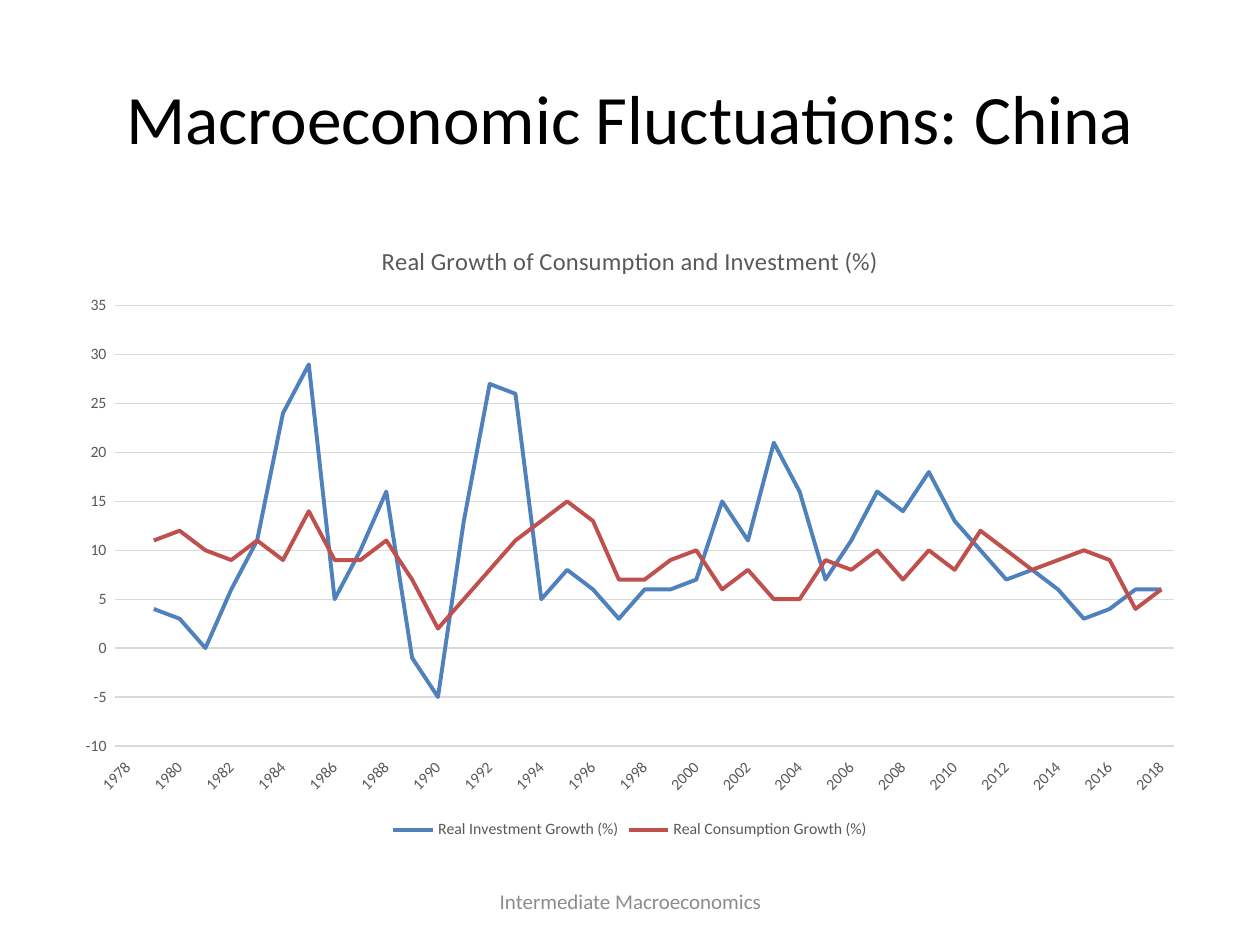
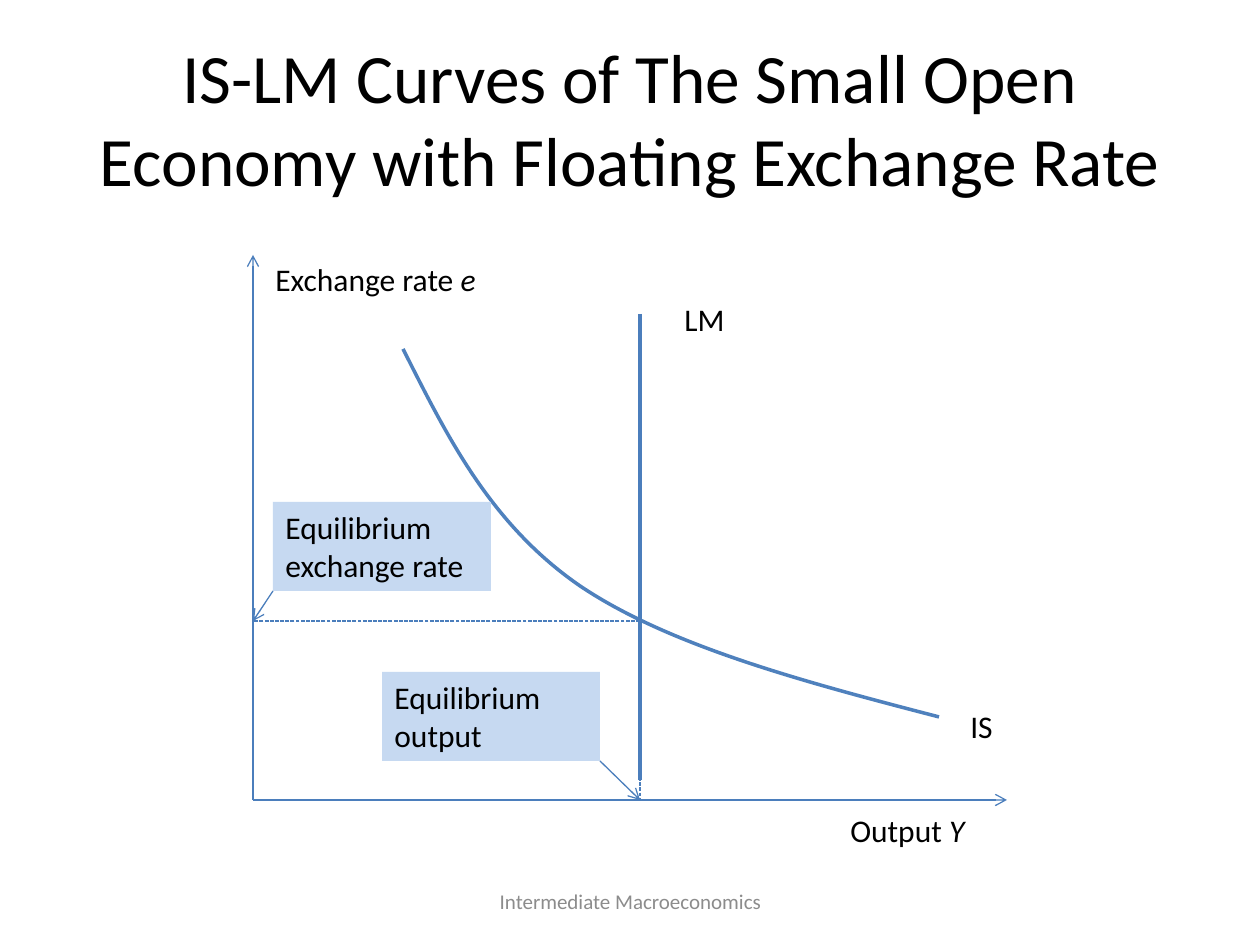
from dataclasses import dataclass

from lxml.etree import SubElement
from pptx import Presentation
from pptx.chart.data import CategoryChartData
from pptx.dml.color import RGBColor
from pptx.enum.chart import XL_CHART_TYPE, XL_LEGEND_POSITION as LEGEND
from pptx.enum.chart import XL_TICK_LABEL_POSITION as TICK_LABEL, XL_TICK_MARK as TICK_MARK
from pptx.enum.dml import MSO_LINE_DASH_STYLE as DASH
from pptx.enum.shapes import MSO_CONNECTOR, MSO_SHAPE
from pptx.enum.text import MSO_ANCHOR as ANCHOR, PP_ALIGN as ALIGN
from pptx.oxml.ns import qn
from pptx.util import Emu, Inches, Pt

PX_PER_INCH = 126
SCALE = Inches(1) / PX_PER_INCH


@dataclass(frozen=True)
class Theme:
    font: str = "Calibri"
    black: str = "000000"
    footer: str = "8C8C8C"
    chart_text: str = "595959"
    grid: str = "D9D9D9"
    axis: str = "4B7EBC"
    curve: str = "4F81BD"
    investment: str = "4F81BD"
    consumption: str = "C0504D"
    callout: str = "C6D9F1"
    title_size: float = 39.6
    label_size: float = 18
    footer_size: float = 12
    chart_title_size: float = 14
    chart_size: float = 9
    thin: float = 0.75
    thick: float = 2
    series_width: float = 2.25


THEME = Theme()

YEARS = range(1978, 2019)
INVESTMENT = [None, 4, 3, 0, 6, 11, 24, 29, 5, 10, 16, -1, -5, 13, 27, 26, 5, 8, 6, 3, 6,
              6, 7, 15, 11, 21, 16, 7, 11, 16, 14, 18, 13, 10, 7, 8, 6, 3, 4, 6, 6]
CONSUMPTION = [None, 11, 12, 10, 9, 11, 9, 14, 9, 9, 11, 7, 2, 5, 8, 11, 13, 15, 13, 7, 7,
               9, 10, 6, 8, 5, 5, 9, 8, 10, 7, 10, 8, 12, 10, 8, 9, 10, 9, 4, 6]

ORIGIN_X, ORIGIN_Y = 253, 800
AXIS_TOP, AXIS_RIGHT = 255, 1007
EQUILIBRIUM_X, EQUILIBRIUM_Y = 640, 621
IS_START = (403, 349)
IS_BEZIERS = [[(447, 436), (490, 524), (580, 586)], [(669, 646), (804, 682), (939, 717)]]


def px(*lengths):
    return [Emu(round(length * SCALE)) for length in lengths]


def rgb(colour):
    return RGBColor.from_string(colour)


def set_format(target, values):
    for name, value in values.items():
        setattr(target, name, value)


def set_font(font, size, colour):
    set_format(font, {"name": THEME.font, "size": Pt(size)})
    font.color.rgb = rgb(colour)


def set_line(line, colour, width):
    line.color.rgb = rgb(colour)
    line.width = Pt(width)


def write(shape, text, size, colour, italic="", align=ALIGN.LEFT, anchor=ANCHOR.TOP, wrap=True):
    """Fill a shape with one paragraph, ending in an optional italic run."""
    set_format(shape.text_frame, {"word_wrap": wrap, "vertical_anchor": anchor})
    paragraph = shape.text_frame.paragraphs[0]
    paragraph.alignment = align
    for content, slanted in ((text, False), (italic, True)):
        if content:
            run = paragraph.add_run()
            run.text = content
            set_font(run.font, size, colour)
            run.font.italic = slanted


def add_text(slide, box, text, size, colour, **options):
    write(slide.shapes.add_textbox(*px(*box)), text, size, colour, **options)


def add_label(slide, box, text, italic=""):
    add_text(slide, box, text, THEME.label_size, THEME.black, italic=italic, wrap=False)


def add_callout(slide, left, top, text):
    shape = slide.shapes.add_shape(MSO_SHAPE.RECTANGLE, *px(left, top, 218, 89))
    shape.shadow.inherit = False
    shape.fill.solid()
    shape.fill.fore_color.rgb = rgb(THEME.callout)
    shape.line.fill.background()
    write(shape, text, THEME.label_size, THEME.black)


def add_line(slide, start, end, width=THEME.thin, arrow=False, dash=None):
    connector = slide.shapes.add_connector(MSO_CONNECTOR.STRAIGHT, *px(*start, *end))
    set_line(connector.line, THEME.axis, width)
    if dash:
        connector.line.dash_style = dash
    if arrow:
        SubElement(connector.line._get_or_add_ln(), qn("a:tailEnd"), type="arrow")
    SubElement(connector._element.spPr, qn("a:effectLst"))


def add_curve(slide, start, beziers):
    """Draw an open outline through cubic Bezier segments."""
    builder = slide.shapes.build_freeform(*start, scale=SCALE)
    builder.add_line_segments([point for bezier in beziers for point in bezier], close=False)
    shape = builder.convert_to_shape()
    shape.shadow.inherit = False
    shape.fill.background()
    set_line(shape.line, THEME.curve, THEME.thick)
    segments = shape._element.findall(".//" + qn("a:lnTo"))
    outline = segments[0].getparent()
    for first in range(0, len(segments), 3):
        cubic = SubElement(outline, qn("a:cubicBezTo"))
        for segment in segments[first:first + 3]:
            cubic.append(segment[0])
            outline.remove(segment)


def add_slide(presentation, title):
    slide = presentation.slides.add_slide(presentation.slide_layouts[6])
    centred = {"align": ALIGN.CENTER, "anchor": ANCHOR.MIDDLE}
    add_text(slide, (63, 38, 1134, 158), title, THEME.title_size, THEME.black, **centred)
    add_text(slide, (431, 876, 399, 50), "Intermediate Macroeconomics",
             THEME.footer_size, THEME.footer, **centred)
    return slide


def style_category_axis(axis):
    set_format(axis, {"major_tick_mark": TICK_MARK.NONE, "has_major_gridlines": False,
                      "tick_label_position": TICK_LABEL.LOW})
    set_line(axis.format.line, THEME.grid, THEME.thin)
    set_font(axis.tick_labels.font, THEME.chart_size, THEME.chart_text)
    element = axis._element
    element.find(qn("c:txPr")).find(qn("a:bodyPr")).set("rot", "-2700000")
    skip = SubElement(element, qn("c:tickLblSkip"), val="2")
    element.find(qn("c:noMultiLvlLbl")).addprevious(skip)


def style_value_axis(axis):
    set_format(axis, {"minimum_scale": -10, "maximum_scale": 35, "major_unit": 5,
                      "major_tick_mark": TICK_MARK.NONE, "has_major_gridlines": True})
    set_format(axis.tick_labels, {"number_format": "0_ ", "number_format_is_linked": False})
    set_font(axis.tick_labels.font, THEME.chart_size, THEME.chart_text)
    set_line(axis.major_gridlines.format.line, THEME.grid, THEME.thin)
    axis.format.line.fill.background()


def add_line_chart(slide, box, title, categories, series_list):
    data = CategoryChartData(number_format="0")
    data.categories = categories
    for name, values, _ in series_list:
        data.add_series(name, values)
    chart = slide.shapes.add_chart(XL_CHART_TYPE.LINE, *px(*box), data).chart
    set_font(chart.font, THEME.chart_size, THEME.chart_text)
    set_format(chart, {"has_title": True, "has_legend": True})
    paragraph = chart.chart_title.text_frame.paragraphs[0]
    run = paragraph.add_run()
    run.text = title
    set_font(run.font, THEME.chart_title_size, THEME.chart_text)
    run.font.bold = False
    set_format(chart.legend, {"position": LEGEND.BOTTOM, "include_in_layout": False})
    set_font(chart.legend.font, THEME.chart_size, THEME.chart_text)
    style_category_axis(chart.category_axis)
    style_value_axis(chart.value_axis)
    plot = chart.plots[0]
    plot.vary_by_categories = False
    for series, (_, _, colour) in zip(plot.series, series_list):
        series.smooth = False
        set_line(series.format.line, colour, THEME.series_width)


def build_fluctuations(presentation):
    slide = add_slide(presentation, "Macroeconomic Fluctuations: China")
    add_line_chart(slide, (63, 220, 1134, 624), "Real Growth of Consumption and Investment (%)",
                   [str(year) for year in YEARS],
                   [("Real Investment Growth (%)", INVESTMENT, THEME.investment),
                    ("Real Consumption Growth (%)", CONSUMPTION, THEME.consumption)])


def build_is_lm(presentation):
    slide = add_slide(
        presentation, "IS-LM Curves of The Small Open Economy with Floating Exchange Rate")
    origin = (ORIGIN_X, ORIGIN_Y)
    equilibrium = (EQUILIBRIUM_X, EQUILIBRIUM_Y)
    equilibrium_rate = (ORIGIN_X, EQUILIBRIUM_Y)
    equilibrium_output = (EQUILIBRIUM_X, ORIGIN_Y)

    add_line(slide, origin, (AXIS_RIGHT, ORIGIN_Y), arrow=True)
    add_line(slide, origin, (ORIGIN_X, AXIS_TOP), arrow=True)
    add_curve(slide, IS_START, IS_BEZIERS)
    add_line(slide, (EQUILIBRIUM_X, 314), (EQUILIBRIUM_X, 780), width=THEME.thick)

    add_label(slide, (958, 701, 49, 50), "IS")
    add_label(slide, (672, 294, 97, 50), "LM")
    add_label(slide, (263, 254, 238, 50), "Exchange rate ", italic="e")
    add_label(slide, (838, 805, 149, 50), "Output ", italic="Y")

    add_line(slide, equilibrium, equilibrium_rate, dash=DASH.SQUARE_DOT)
    add_line(slide, (EQUILIBRIUM_X, 741), equilibrium_output, dash=DASH.SQUARE_DOT)
    add_callout(slide, 273, 502, "Equilibrium exchange rate")
    add_line(slide, (273, 591), equilibrium_rate, arrow=True)
    add_callout(slide, 382, 672, "Equilibrium output")
    add_line(slide, (600, 761), equilibrium_output, arrow=True)


def main():
    presentation = Presentation()
    set_format(presentation, {"slide_width": Inches(10), "slide_height": Inches(7.5)})
    build_fluctuations(presentation)
    build_is_lm(presentation)
    presentation.save("out.pptx")


if __name__ == "__main__":
    main()
